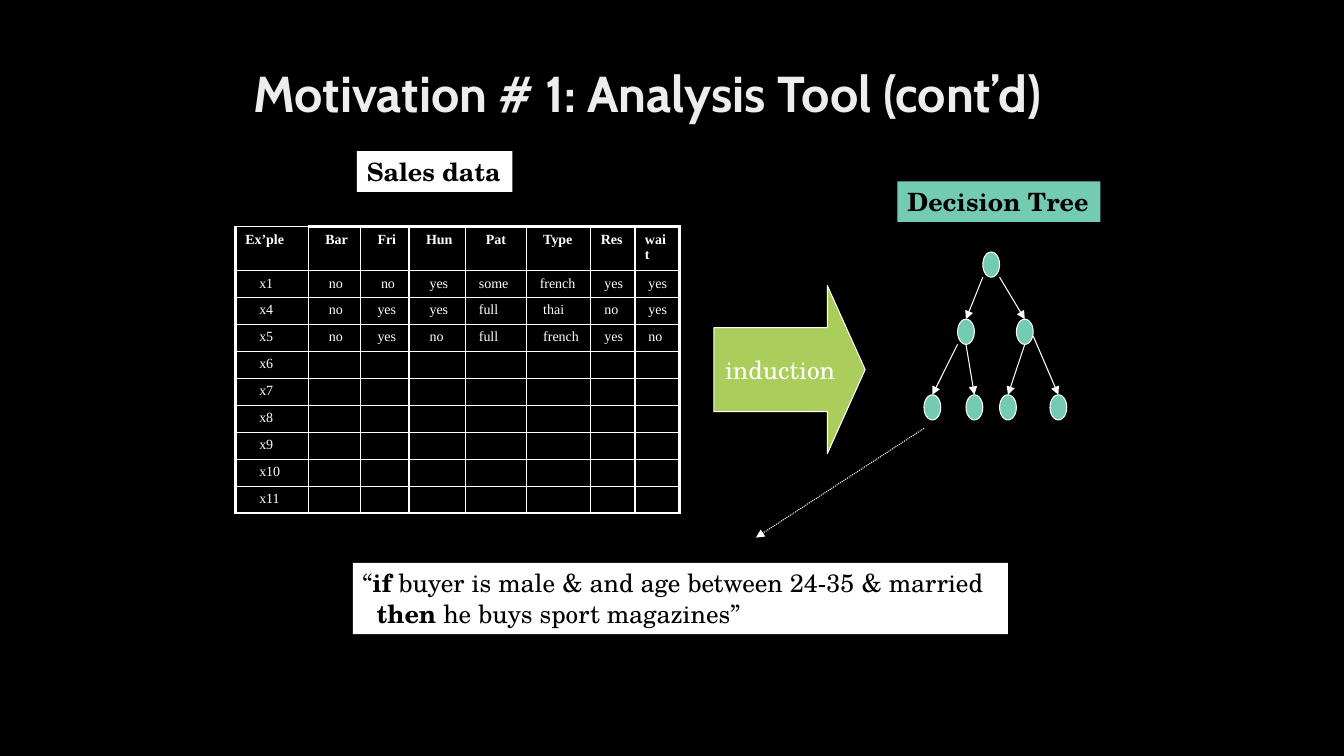
"""Build the decision tree induction slide."""
import pptx
import pptx.dml.color
import pptx.enum.dml
import pptx.enum.shapes
import pptx.enum.text
import pptx.oxml.ns
import pptx.util
from lxml import etree

Pt = pptx.util.Pt
SHAPES = pptx.enum.shapes.MSO_SHAPE
ALIGN = pptx.enum.text.PP_ALIGN
ANCHOR = pptx.enum.text.MSO_ANCHOR
DASH = pptx.enum.dml.MSO_LINE

COLORS = {"black": "000000", "white": "FFFFFF", "title": "EDEDED",
          "teal": "73CBB2", "green": "AACD5B"}
SERIF = {"name": "TeX Gyre Schola", "size": Pt(18)}
TITLE = {"name": "Cabin", "size": Pt(36), "bold": True}
CELL = {"name": "Times New Roman", "size": Pt(10)}

TITLE_TEXT = "Motivation # 1: Analysis Tool (cont’d)"
TITLE_BOX = (174, 24, 612, 90)
LABELS = [("Sales data", (255, 108, 111, 29), "white"),
          ("Decision Tree", (641, 129.5, 145, 29), "teal")]
RULE_BOX = (252, 402, 468, 51)
RULE_LINES = [
    (0, [("“", False), ("if", True),
         (" buyer is male & and age between 24-35 & married", False)]),
    (10, [("then", True), (" he buys sport magazines”", False)]),
]
INDUCTION_BOX = (510, 204, 108, 120)

TABLE_ORIGIN = (168, 162)
COLUMN_WIDTHS = [52.2, 37.3, 34.7, 40.2, 43.5, 46.2, 31.5, 32]
HEADER_HEIGHT, ROW_HEIGHT = 29, 18.3
OUTER_BORDER, INNER_BORDER = 2.25, 1
ROWS = [
    ["Ex’ple", "Bar", "Fri", "Hun", "Pat", "Type", "Res", "wait"],
    ["x1", "no", "no", "yes", "some", "french", "yes", "yes"],
    ["x4", "no", "yes", "yes", "full", "thai", "no", "yes"],
    ["x5", "no", "yes", "no", "full", "french", "yes", "no"],
] + [[f"x{number}"] + [""] * 7 for number in range(6, 12)]
HEADER_INDENTS = [0, 5, 5, 5, 7.5, 5, 0, 0]
FIRST_ROW_INDENTS = [10, 7.5, 7.5, 7.5, 2.5, 2.5, 2.5, 2.5]
ROW_INDENTS = [10, 7.5, 5, 7.5, 2.5, 5, 2.5, 2.5]
CELL_MARGIN = 7.2

NODE_SIZE = (12, 18)
NODES = [(702, 180), (684, 228), (726, 228),
         (660, 282), (690, 282), (714, 282), (750, 282)]
EDGES = [(0, 1, 0, 18), (0, 2, 12, 18), (1, 3, 0, 18),
         (1, 4, 6, 18), (2, 5, 6, 18), (2, 6, 12, 12)]
RULE_ARROW = (660, 306, 540, 384)


def color(name):
    """Return the named colour."""
    return pptx.dml.color.RGBColor.from_string(COLORS[name])


def paint(fill, name):
    """Fill with one named colour."""
    fill.solid()
    fill.fore_color.rgb = color(name)


def add_run(paragraph, text, color_name, **formats):
    """Add a formatted run."""
    run = paragraph.add_run()
    run.text = text
    for attribute, value in formats.items():
        setattr(run.font, attribute, value)
    run.font.color.rgb = color(color_name)


def add_shape(slide, kind, box, fill_name, outlined=False):
    """Add a flat filled shape with left-aligned text."""
    shape = slide.shapes.add_shape(kind, *map(Pt, box))
    shape.shadow.inherit = False
    paint(shape.fill, fill_name)
    if outlined:
        paint(shape.line.fill, "white")
        shape.line.width = Pt(0.75)
    else:
        shape.line.fill.background()
    shape.text_frame.vertical_anchor = ANCHOR.TOP
    shape.text_frame.paragraphs[0].alignment = ALIGN.LEFT
    return shape


def add_arrow(slide, ends, dash=None):
    """Add a thin white arrow."""
    arrow = slide.shapes.add_connector(
        pptx.enum.shapes.MSO_CONNECTOR.STRAIGHT, *map(Pt, ends))
    paint(arrow.line.fill, "white")
    arrow.line.width = Pt(0.75)
    if dash:
        arrow.line.dash_style = dash
    qn = pptx.oxml.ns.qn
    etree.SubElement(arrow.line._get_or_add_ln(), qn("a:tailEnd"), type="triangle")
    etree.SubElement(arrow._element.spPr, qn("a:effectLst"))


def set_borders(cell, widths):
    """Draw white cell borders of the given widths."""
    qn = pptx.oxml.ns.qn
    properties = cell._tc.get_or_add_tcPr()
    for side, width in widths.items():
        line = etree.SubElement(properties, qn(f"a:ln{side}"), w=str(Pt(width)))
        fill = etree.SubElement(line, qn("a:solidFill"))
        etree.SubElement(fill, qn("a:srgbClr"), val=COLORS["white"])


def add_sales_table(slide):
    """Add the table of sales examples."""
    last_row, last_column = len(ROWS) - 1, len(COLUMN_WIDTHS) - 1
    height = HEADER_HEIGHT + ROW_HEIGHT * last_row
    table = slide.shapes.add_table(
        len(ROWS), len(COLUMN_WIDTHS), *map(Pt, TABLE_ORIGIN),
        Pt(sum(COLUMN_WIDTHS)), Pt(height)).table
    table.first_row = table.horz_banding = False
    for column, width in zip(table.columns, COLUMN_WIDTHS):
        column.width = Pt(width)
    indents = [HEADER_INDENTS, FIRST_ROW_INDENTS] + [ROW_INDENTS] * (last_row - 1)
    for r, texts in enumerate(ROWS):
        table.rows[r].height = Pt(ROW_HEIGHT if r else HEADER_HEIGHT)
        for c, text in enumerate(texts):
            cell = table.cell(r, c)
            outer = {"L": c == 0, "R": c == last_column,
                     "T": r == 0 and c > 0, "B": r == last_row}
            set_borders(cell, {side: OUTER_BORDER if edge else INNER_BORDER
                               for side, edge in outer.items()})
            cell.fill.background()
            paragraph = cell.text_frame.paragraphs[0]
            if text:
                cell.margin_left = Pt(CELL_MARGIN + indents[r][c])
                add_run(paragraph, text, "white", bold=r == 0, **CELL)
            else:
                etree.SubElement(paragraph._p, pptx.oxml.ns.qn("a:endParaRPr"),
                                 sz="1000")


def add_rule(slide):
    """Add the box with the induced rule."""
    frame = add_shape(slide, SHAPES.RECTANGLE, RULE_BOX, "white").text_frame
    frame.word_wrap = True
    frame.add_paragraph().alignment = ALIGN.LEFT
    for paragraph, (indent, runs) in zip(frame.paragraphs, RULE_LINES):
        paragraph._p.get_or_add_pPr().set("marL", str(Pt(indent)))
        for text, bold in runs:
            add_run(paragraph, text, "black", bold=bold, **SERIF)


def add_tree(slide):
    """Add the tree nodes and their arrows."""
    for node in NODES:
        add_shape(slide, SHAPES.OVAL, node + NODE_SIZE, "teal", outlined=True)
    for parent, child, dx, dy in EDGES:
        (x, y), (child_x, child_y) = NODES[parent], NODES[child]
        add_arrow(slide, (x + dx, y + dy, child_x + NODE_SIZE[0] / 2, child_y))


def main():
    """Build and save the slide."""
    presentation = pptx.Presentation()
    presentation.slide_width, presentation.slide_height = Pt(960), Pt(540)
    slide = presentation.slides.add_slide(presentation.slide_layouts[6])
    paint(slide.background.fill, "black")

    title = slide.shapes.add_textbox(*map(Pt, TITLE_BOX)).text_frame
    title.word_wrap = True
    title.vertical_anchor = ANCHOR.MIDDLE
    title.paragraphs[0].line_spacing = 0.9
    add_run(title.paragraphs[0], TITLE_TEXT, "title", **TITLE)

    add_sales_table(slide)
    add_arrow(slide, RULE_ARROW, DASH.ROUND_DOT)
    add_rule(slide)

    induction = add_shape(slide, SHAPES.RIGHT_ARROW, INDUCTION_BOX, "green", True)
    induction.adjustments[1] = 0.25
    frame = induction.text_frame
    frame.word_wrap = False
    frame.vertical_anchor = ANCHOR.MIDDLE
    frame.paragraphs[0].alignment = ALIGN.CENTER
    add_run(frame.paragraphs[0], "induction", "white", **SERIF)

    add_tree(slide)
    for text, box, fill_name in LABELS:
        frame = add_shape(slide, SHAPES.RECTANGLE, box, fill_name).text_frame
        frame.word_wrap = False
        add_run(frame.paragraphs[0], text, "black", bold=True, **SERIF)
    presentation.save("out.pptx")


if __name__ == "__main__":
    main()
